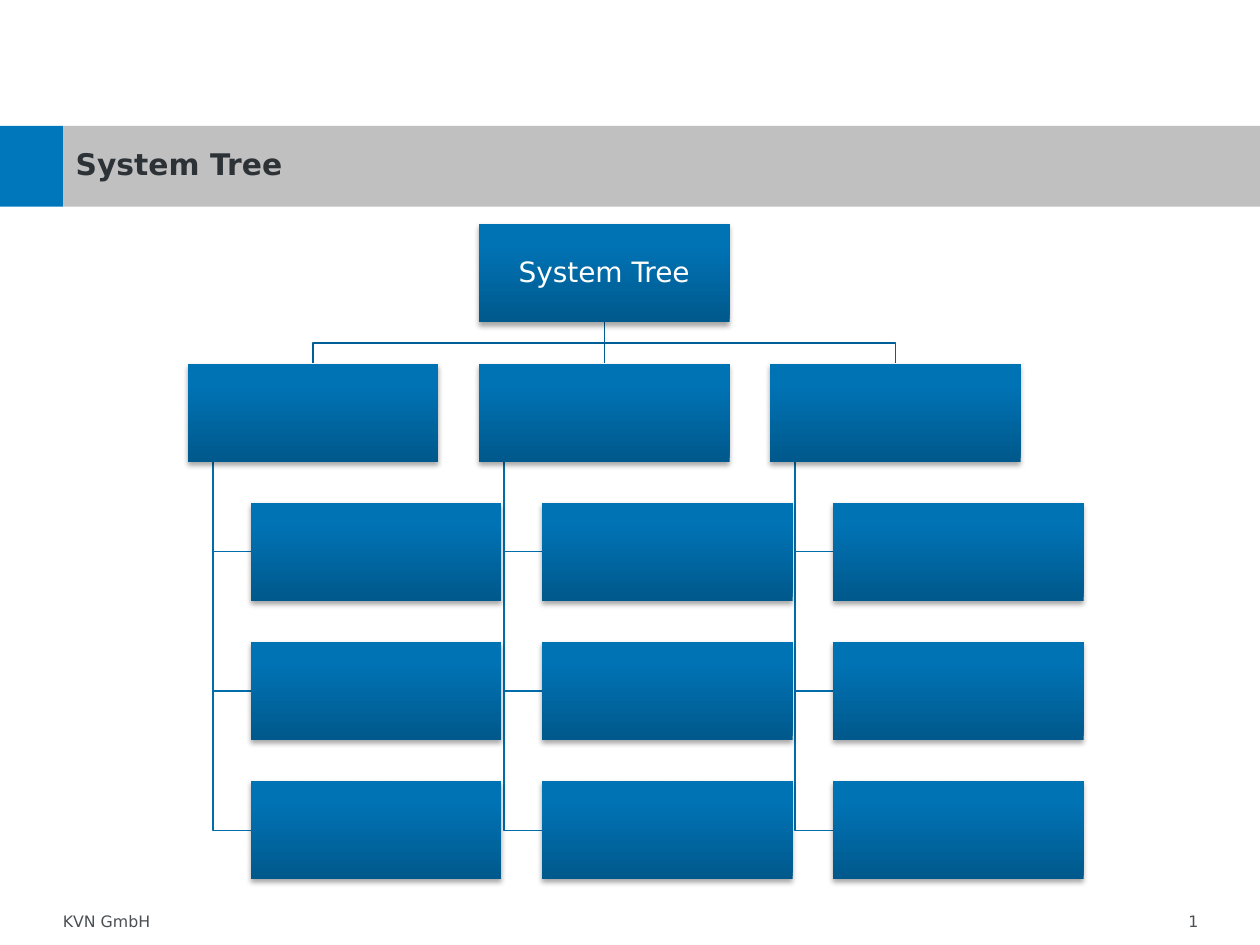
"""Build the System Tree slide: a root box, three branches and three leaves on each."""
from lxml import etree
from pptx import Presentation
from pptx.dml.color import RGBColor
from pptx.enum.shapes import MSO_CONNECTOR, MSO_SHAPE
from pptx.enum.text import MSO_ANCHOR, PP_ALIGN
from pptx.oxml import parse_xml
from pptx.util import Inches, Pt

RECTANGLE = MSO_SHAPE.RECTANGLE
STRAIGHT = MSO_CONNECTOR.STRAIGHT
LEFT, CENTER, RIGHT = PP_ALIGN.LEFT, PP_ALIGN.CENTER, PP_ALIGN.RIGHT
TOP, MIDDLE = MSO_ANCHOR.TOP, MSO_ANCHOR.MIDDLE

FONT = "DejaVu Sans"
DRAWING = "http://schemas.openxmlformats.org/drawingml/2006/main"
SHADOW = f"""<a:effectLst xmlns:a="{DRAWING}">
  <a:outerShdw blurRad="39370" dist="22860" dir="5400000" rotWithShape="0">
    <a:srgbClr val="000000"><a:alpha val="35000"/></a:srgbClr>
  </a:outerShdw>
</a:effectLst>"""

BOX_WIDTH, BOX_HEIGHT = 1.99, 0.78
COLUMN_STEP = 2.31
ROW_STEP = (6.2 - 1.78) / 4
ROOT_LEFT, ROOT_TOP = 3.8, 1.78
BRANCH_LEFT, BRANCH_TOP = ROOT_LEFT - COLUMN_STEP, ROOT_TOP + ROW_STEP
LEAF_INDENT, TRUNK_INDENT = 0.5, 0.2
ROOT_CENTER = ROOT_LEFT + BOX_WIDTH / 2
ROOT_BOTTOM = ROOT_TOP + BOX_HEIGHT
BRANCH_BOTTOM = BRANCH_TOP + BOX_HEIGHT


def color(value):
    return RGBColor.from_string(value)


def write_text(shape, text, size, ink, bold=False, align=LEFT, anchor=TOP, spacing=1.0, inset=None):
    frame = shape.text_frame
    frame.word_wrap = True
    frame.vertical_anchor = anchor
    if inset is not None:
        frame.margin_left = frame.margin_right = Inches(inset)
        frame.margin_top = frame.margin_bottom = Inches(inset)
    para = frame.paragraphs[0]
    para.alignment = align
    para.line_spacing = spacing
    span = para.add_run()
    span.text = text
    span.font.name = FONT
    span.font.size = Pt(size)
    span.font.bold = bold
    span.font.color.rgb = color(ink)


deck = Presentation()
deck.slide_width, deck.slide_height = Inches(10), Inches(7.5)
page = deck.slides.add_slide(deck.slide_layouts[5])
shapes = page.shapes

for left, text, align in [(6.7, "1", RIGHT), (0.4, "KVN GmbH", LEFT)]:
    footer = shapes.add_textbox(Inches(left), Inches(7.19), Inches(2.91), Inches(0.25))
    write_text(footer, text, 9, "4A5053", align=align)

for left, width, fill in [(0.5, 9.5, "C0C0C0"), (0, 0.5, "0077BB")]:
    bar = shapes.add_shape(RECTANGLE, Inches(left), Inches(1), Inches(width), Inches(0.64))
    bar.shadow.inherit = False
    bar.fill.solid()
    bar.fill.fore_color.rgb = color(fill)
    bar.line.fill.background()

title = shapes.title
title.left, title.top, title.width, title.height = Inches(0.5), Inches(1.14), Inches(8.6), Inches(0.36)
write_text(title, "System Tree", 17, "2D3237", bold=True, anchor=MIDDLE, spacing=0.9)
bar._element.addnext(title._element)

boxes = [(ROOT_LEFT, ROOT_TOP)]
elbows = []
for column in range(3):
    branch_left = BRANCH_LEFT + column * COLUMN_STEP
    leaf_left = branch_left + LEAF_INDENT
    trunk = branch_left + TRUNK_INDENT
    boxes.append((branch_left, BRANCH_TOP))
    for row in range(1, 4):
        leaf_top = BRANCH_TOP + row * ROW_STEP
        leaf_middle = leaf_top + BOX_HEIGHT / 2
        boxes.append((leaf_left, leaf_top))
        elbows.append(("006CAA", [(trunk, BRANCH_BOTTOM), (trunk, leaf_middle), (leaf_left, leaf_middle)]))

turn = (ROOT_BOTTOM + BRANCH_TOP) / 2
for end in (ROOT_CENTER - COLUMN_STEP, ROOT_CENTER + COLUMN_STEP):
    elbows.append(("005F96", [(ROOT_CENTER, ROOT_BOTTOM), (ROOT_CENTER, turn), (end, turn), (end, BRANCH_TOP)]))

for ink, points in elbows:
    start, *rest = [(Inches(x), Inches(y)) for x, y in points]
    builder = shapes.build_freeform(*start)
    builder.add_line_segments(rest, close=False)
    elbow = builder.convert_to_shape()
    elbow.shadow.inherit = False
    elbow.fill.background()
    elbow.line.color.rgb = color(ink)
    elbow.line.width = Pt(0.75)

stem = shapes.add_connector(
    STRAIGHT, Inches(ROOT_CENTER), Inches(ROOT_BOTTOM), Inches(ROOT_CENTER), Inches(BRANCH_TOP)
)
stem.line.color.rgb = color("005F96")
stem.line.width = Pt(0.75)
etree.SubElement(stem._element.spPr, f"{{{DRAWING}}}effectLst")

for left, top in boxes:
    box = shapes.add_shape(RECTANGLE, Inches(left), Inches(top), Inches(BOX_WIDTH), Inches(BOX_HEIGHT))
    box.line.fill.background()
    box.fill.gradient()
    box.fill.gradient_angle = 90
    for stop, position, shade in zip(box.fill.gradient_stops, (0, 0.8), ("00598C", "0073B5")):
        stop.position = position
        stop.color.rgb = color(shade)
    box._element.spPr.append(parse_xml(SHADOW))
    if (left, top) == (ROOT_LEFT, ROOT_TOP):
        write_text(box, "System Tree", 16, "FFFFFF", align=CENTER, anchor=MIDDLE, spacing=0.9, inset=0.01)

deck.save("out.pptx")
